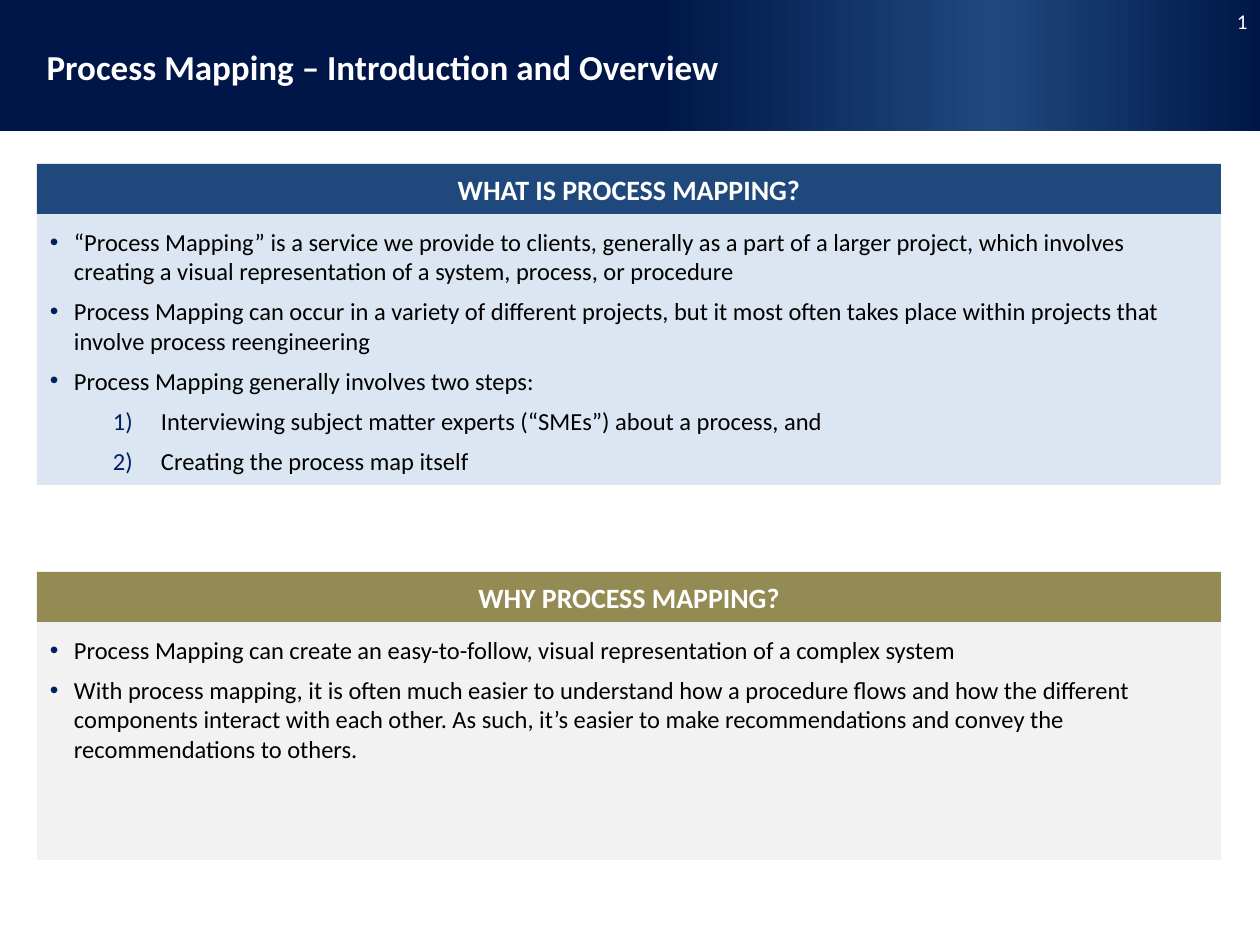
"""Build the process mapping introduction slide."""
from dataclasses import dataclass

from lxml import etree
from pptx import Presentation
from pptx import util as u
from pptx.dml.color import RGBColor
from pptx.enum import shapes, text
from pptx.oxml import ns

SCALE = 914400 / 126


@dataclass(frozen=True)
class Theme:
    font: str = "Calibri"
    navy: str = "001648"
    blue: str = "1F497D"
    pale_blue: str = "DCE6F2"
    olive: str = "948A54"
    pale_grey: str = "F2F2F2"
    bullet: str = "002060"
    white: str = "FFFFFF"
    black: str = "000000"
    title_size: int = 20
    heading_size: int = 16
    body_size: int = 14
    number_size: int = 12


theme = Theme()


def px(*lengths):
    return [u.Emu(round(length * SCALE)) for length in lengths]


def add_text(paragraph, words, size, color, bold=False):
    run = paragraph.add_run()
    run.text = words
    run.font.name = theme.font
    run.font.size = u.Pt(size)
    run.font.bold = bold
    run.font.color.rgb = RGBColor.from_string(color)


presentation = Presentation()
presentation.slide_width, presentation.slide_height = px(1260, 945)
slide = presentation.slides.add_slide(presentation.slide_layouts[5])

band = slide.shapes.add_shape(shapes.MSO_SHAPE.RECTANGLE, *px(0, 0, 1260, 131))
band.shadow.inherit = False
band.line.fill.background()
band.fill.gradient()
band.fill.gradient_angle = 0
stops = band._element.spPr.find(".//" + ns.qn("a:gsLst"))
for stop in list(stops):
    stops.remove(stop)
for percent, color in [(0, theme.navy), (52, theme.navy), (79, theme.blue), (100, theme.navy)]:
    stop = etree.SubElement(stops, ns.qn("a:gs"), pos=str(percent * 1000))
    etree.SubElement(stop, ns.qn("a:srgbClr"), val=color)
slide.shapes._spTree.insert(2, band._element)

title = slide.shapes.title
title.left, title.top, title.width, title.height = px(34, 26, 1192, 87)
title.text_frame.vertical_anchor = text.MSO_ANCHOR.MIDDLE
title.text_frame.word_wrap = True
paragraph = title.text_frame.paragraphs[0]
paragraph.alignment = text.PP_ALIGN.LEFT
paragraph.line_spacing = 0.9
add_text(paragraph, "Process Mapping – Introduction and Overview", theme.title_size, theme.white, True)

number = slide.shapes.add_textbox(*px(1210, 2, 50, 38))
number.text_frame.word_wrap = True
number.text_frame.vertical_anchor = text.MSO_ANCHOR.MIDDLE
paragraph = number.text_frame.paragraphs[0]
paragraph.alignment = text.PP_ALIGN.RIGHT
add_text(paragraph, "1", theme.number_size, theme.white)

LEFT, WIDTH, HEADING_HEIGHT = 37, 1184, 50
BULLET, STEP = "bullet", "step"
sections = [
    (164, 271, "WHAT IS PROCESS MAPPING?", theme.blue, theme.pale_blue, [
        (BULLET, "“Process Mapping” is a service we provide to clients, generally as a part of a "
                 "larger project, which involves creating a visual representation of a system, "
                 "process, or procedure"),
        (BULLET, "Process Mapping can occur in a variety of different projects, but it most often "
                 "takes place within projects that involve process reengineering"),
        (BULLET, "Process Mapping generally involves two steps:"),
        (STEP, "Interviewing subject matter experts (“SMEs”) about a process, and"),
        (STEP, "Creating the process map itself"),
    ]),
    (572, 238, "WHY PROCESS MAPPING?", theme.olive, theme.pale_grey, [
        (BULLET, "Process Mapping can create an easy-to-follow, visual representation of a complex "
                 "system"),
        (BULLET, "With process mapping, it is often much easier to understand how a procedure flows "
                 "and how the different components interact with each other. As such, it’s easier "
                 "to make recommendations and convey the recommendations to others."),
    ]),
]

for top, body_height, heading_words, heading_fill, body_fill, items in sections:
    group = slide.shapes.add_group_shape()
    panels = []
    for panel_top, height, fill in [(top + HEADING_HEIGHT, body_height, body_fill),
                                    (top, HEADING_HEIGHT, heading_fill)]:
        panel = group.shapes.add_shape(
            shapes.MSO_SHAPE.RECTANGLE, *px(LEFT, panel_top, WIDTH, height))
        panel.shadow.inherit = False
        panel.line.fill.background()
        panel.fill.solid()
        panel.fill.fore_color.rgb = RGBColor.from_string(fill)
        panel.text_frame.word_wrap = True
        panels.append(panel)
    body, heading = panels

    heading.text_frame.vertical_anchor = text.MSO_ANCHOR.MIDDLE
    paragraph = heading.text_frame.paragraphs[0]
    paragraph.alignment = text.PP_ALIGN.CENTER
    add_text(paragraph, heading_words, theme.heading_size, theme.white, True)

    frame = body.text_frame
    frame.vertical_anchor = text.MSO_ANCHOR.TOP
    frame.margin_left, frame.margin_top, frame.margin_right, frame.margin_bottom = px(13, 13, 13, 13)
    for index, (kind, words) in enumerate(items):
        paragraph = frame.add_paragraph() if index else frame.paragraphs[0]
        paragraph.alignment = text.PP_ALIGN.LEFT
        paragraph.space_after = u.Pt(6)
        paragraph.level = 1 if kind == STEP else 0
        margin, hanging = px(111, 48) if kind == STEP else px(24, 24)
        properties = paragraph._p.get_or_add_pPr()
        properties.set("marL", str(margin))
        properties.set("indent", str(-hanging))
        bullet_color = etree.SubElement(properties, ns.qn("a:buClr"))
        etree.SubElement(bullet_color, ns.qn("a:srgbClr"), val=theme.bullet)
        if kind == STEP:
            etree.SubElement(properties, ns.qn("a:buFont"), typeface=theme.font)
            etree.SubElement(properties, ns.qn("a:buAutoNum"), type="arabicParenR")
        else:
            etree.SubElement(properties, ns.qn("a:buFont"), typeface="Arial")
            etree.SubElement(properties, ns.qn("a:buChar"), char="•")
        add_text(paragraph, words, theme.body_size, theme.black)

presentation.save("out.pptx")
